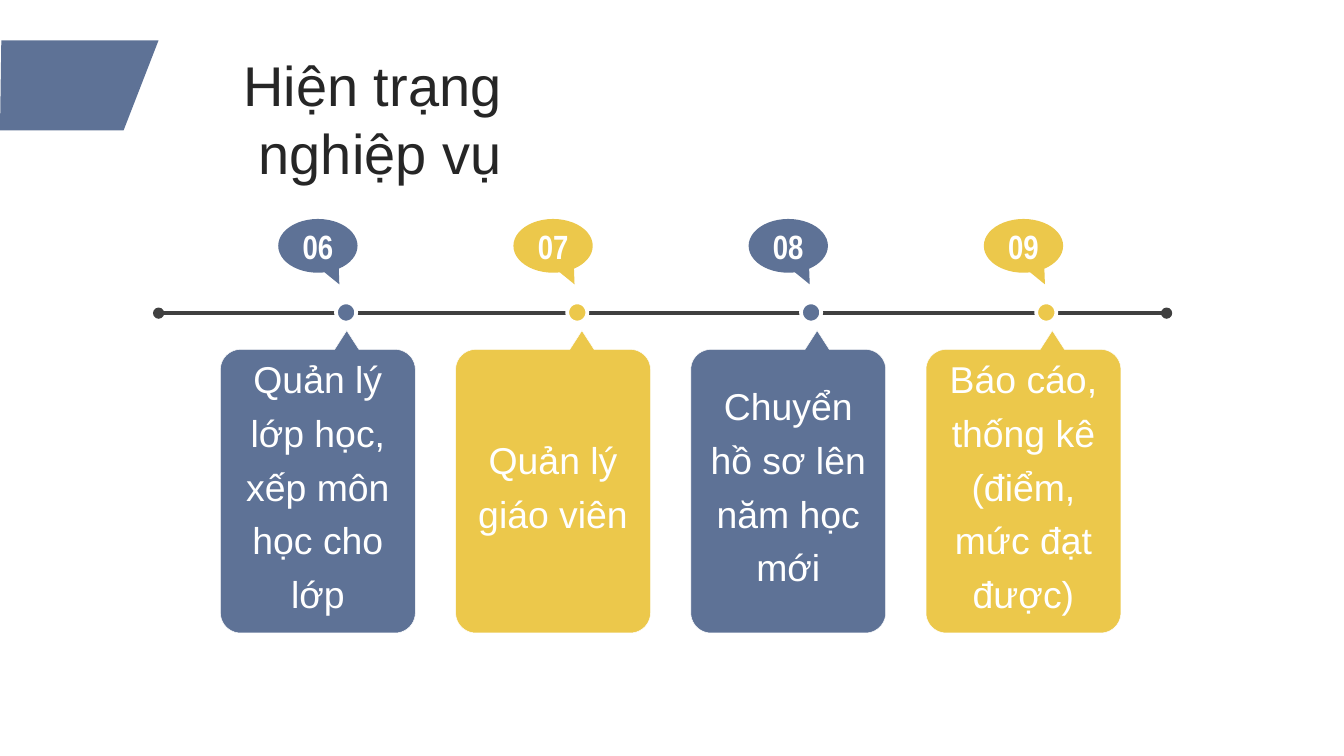
import math
from dataclasses import dataclass

import lxml.etree
import pptx
import pptx.dml.color
import pptx.enum.shapes
import pptx.enum.text
import pptx.oxml.ns
import pptx.util

Inches = pptx.util.Inches
Pt = pptx.util.Pt
Align = pptx.enum.text.PP_ALIGN
Shape = pptx.enum.shapes.MSO_SHAPE


@dataclass(frozen=True)
class Theme:
    blue: str = "5E7296"
    yellow: str = "ECC84B"
    white: str = "FFFFFF"
    axis: str = "404040"
    title: str = "262626"
    font: str = "Arial"
    number_font: str = "Arial Narrow"
    title_size: int = 30
    card_size: int = 20
    number_size: int = 18


THEME = Theme()

# Number, card text, colour, left edge of the timeline dot
STEPS = [
    ("06", "Quản lý lớp học, xếp môn học cho lớp", THEME.blue, 2.5),
    ("07", "Quản lý giáo viên", THEME.yellow, 4.22),
    ("08", "Chuyển hồ sơ lên năm học mới", THEME.blue, 5.96),
    ("09", "Báo cáo, thống kê (điểm, mức đạt được)", THEME.yellow, 7.71),
]
FIRST_CARD, STEP_PITCH = 1.64, 1.75
AXIS_Y = 2.33


def rgb(value):
    return pptx.dml.color.RGBColor.from_string(value)


def style(shape, fill, line=None, width=0):
    shape.shadow.inherit = False
    shape.fill.solid()
    shape.fill.fore_color.rgb = rgb(fill)
    if line:
        shape.line.color.rgb = rgb(line)
        shape.line.width = Pt(width)
    else:
        shape.line.fill.background()


def write(shape, text, font, size, color, align=Align.CENTER, bold=False, spacing=None):
    frame = shape.text_frame
    frame.word_wrap = True
    paragraph = frame.paragraphs[0]
    paragraph.alignment = align
    if spacing:
        paragraph.line_spacing = spacing
    run = paragraph.add_run()
    run.text = text
    run.font.name = font
    run.font.size = Pt(size)
    run.font.bold = bold
    run.font.color.rgb = rgb(color)
    return frame


def add_outline(slide, points):
    points = [(Inches(x), Inches(y)) for x, y in points]
    builder = slide.shapes.build_freeform(*points[0])
    builder.add_line_segments(points[1:], close=True)
    return builder.convert_to_shape()


def corner(center_x, center_y, radius, start, steps=10):
    """Points of a clockwise quarter circle that begins at an angle in degrees."""
    angles = [math.radians(start + 90 * i / steps) for i in range(steps + 1)]
    return [(center_x + radius * math.cos(a), center_y + radius * math.sin(a)) for a in angles]


def add_axis(slide):
    axis = slide.shapes.add_connector(
        pptx.enum.shapes.MSO_CONNECTOR.STRAIGHT,
        Inches(1.18), Inches(AXIS_Y), Inches(8.68), Inches(AXIS_Y))
    axis.line.color.rgb = rgb(THEME.axis)
    axis.line.width = Pt(2)
    line = axis.line._get_or_add_ln()
    for end in ("a:headEnd", "a:tailEnd"):
        lxml.etree.SubElement(line, pptx.oxml.ns.qn(end), type="oval")
    lxml.etree.SubElement(axis._element.spPr, pptx.oxml.ns.qn("a:effectLst"))


def add_dot(slide, left, color):
    dot = slide.shapes.add_shape(
        Shape.OVAL, Inches(left), Inches(2.25), Inches(0.15), Inches(0.15))
    style(dot, color, THEME.white, 2)


def add_bubble(slide, left, number, color):
    bubble = slide.shapes.add_shape(
        Shape.OVAL_CALLOUT, Inches(left), Inches(1.63), Inches(0.59), Inches(0.4))
    bubble.adjustments[0] = 0.271
    bubble.adjustments[1] = 0.716
    style(bubble, color)
    frame = write(bubble, number, THEME.number_font, THEME.number_size, THEME.white, bold=True)
    frame.margin_left = frame.margin_right = frame.margin_top = frame.margin_bottom = 0
    frame.vertical_anchor = pptx.enum.text.MSO_ANCHOR.MIDDLE


def add_card(slide, left, text, color):
    tip, top, bottom, radius = 2.46, 2.6, 4.71, 0.15
    right, tip_x = left + 1.45, left + 0.94
    card = add_outline(slide, [
        (tip_x, tip), (tip_x + 0.09, top),
        *corner(right - radius, top + radius, radius, -90),
        *corner(right - radius, bottom - radius, radius, 0),
        *corner(left + radius, bottom - radius, radius, 90),
        *corner(left + radius, top + radius, radius, 180),
        (tip_x - 0.09, top),
    ])
    style(card, color, THEME.white, 0.25)
    frame = write(card, text, THEME.font, THEME.card_size, THEME.white, spacing=1.2)
    frame.vertical_anchor = pptx.enum.text.MSO_ANCHOR.MIDDLE


def add_heading(slide):
    banner = add_outline(slide, [(0, 0.97), (0.01, 0.3), (1.18, 0.3), (0.92, 0.97)])
    style(banner, THEME.blue)
    title = slide.shapes.add_textbox(Inches(1.01), Inches(0.33), Inches(2.82), Inches(0.61))
    write(title, "Hiện trạng nghiệp vụ", THEME.font, THEME.title_size, THEME.title, Align.RIGHT)


def main():
    presentation = pptx.Presentation()
    presentation.slide_width = Inches(10)
    presentation.slide_height = presentation.slide_width * 9 // 16
    slide = presentation.slides.add_slide(presentation.slide_layouts[6])

    # Timeline with one dot, bubble and card per step
    add_axis(slide)
    for index, (number, text, color, dot_left) in enumerate(STEPS):
        left = FIRST_CARD + index * STEP_PITCH
        add_dot(slide, dot_left, color)
        add_bubble(slide, left + 0.43, number, color)
        add_card(slide, left, text, color)

    # Banner and title
    add_heading(slide)
    presentation.save("out.pptx")


if __name__ == "__main__":
    main()
